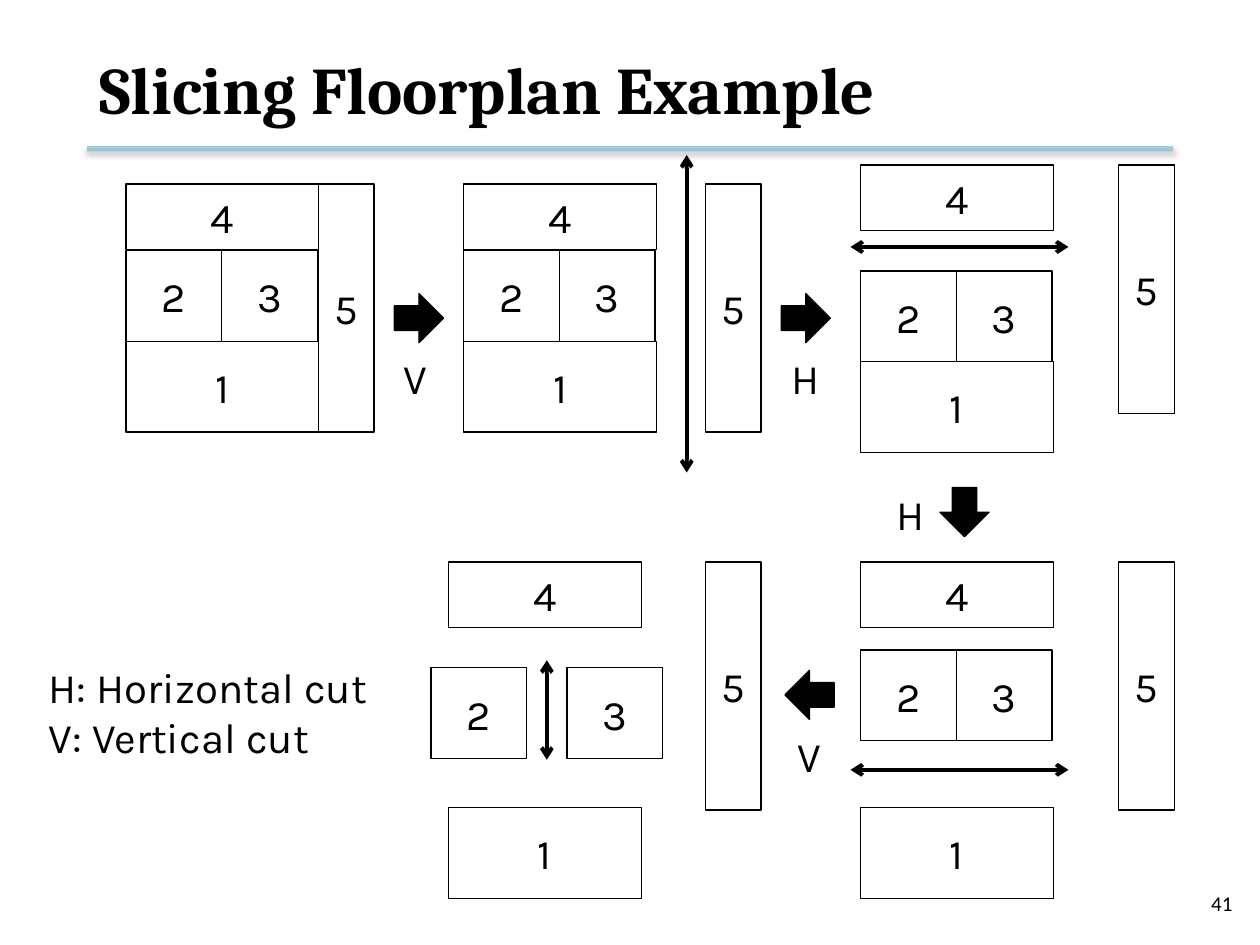
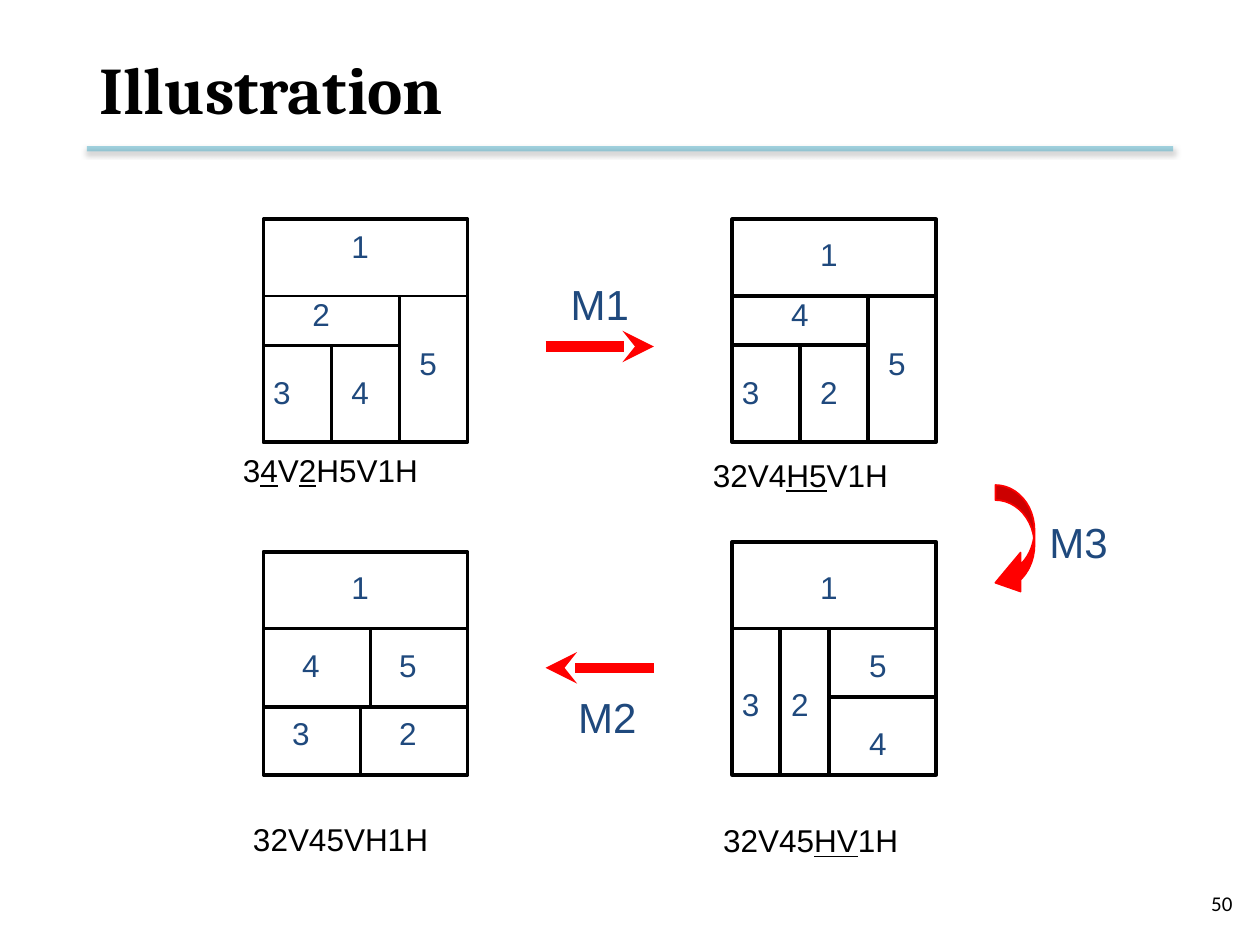
from lxml.etree import SubElement
from pptx import Presentation
from pptx.dml.color import RGBColor
from pptx.enum.shapes import MSO_CONNECTOR, MSO_SHAPE
from pptx.enum.text import MSO_ANCHOR, PP_ALIGN
from pptx.oxml.ns import qn
from pptx.util import Inches, Pt

BLACK, WHITE, RED, NAVY, TEAL = "000000", "FFFFFF", "FF0000", "1F497D", "4BACC6"
BLOCK_SIZES = {1: (1.53, 0.72), 2: (0.76, 0.72), 3: (0.76, 0.72), 4: (1.53, 0.52), 5: (0.44, 1.97)}
PLAN_WIDTH = 1.62


def color(hex_string):
    return RGBColor.from_string(hex_string)


def write(frame, lines, font, size, ink=BLACK, bold=False, align=PP_ALIGN.LEFT,
          anchor=MSO_ANCHOR.TOP, wrap=True):
    """Fill a text frame; parts between underscores are underlined."""
    frame.word_wrap = wrap
    frame.vertical_anchor = anchor
    for index, line in enumerate(lines):
        paragraph = frame.add_paragraph() if index else frame.paragraphs[0]
        paragraph.alignment = align
        for part_index, part in enumerate(line.split("_")):
            run = paragraph.add_run()
            run.text = part
            run.font.name, run.font.size, run.font.bold = font, Pt(size), bold
            run.font.color.rgb = color(ink)
            if part_index % 2:
                run.font.underline = True


def add_text(slide, box, lines, font, size, **style):
    label = slide.shapes.add_textbox(*map(Inches, box))
    write(label.text_frame, lines, font, size, **style)


def add_figure(slide, preset, box, fill=None, ink=BLACK, width=0.75):
    figure = slide.shapes.add_shape(preset, *map(Inches, box))
    figure.shadow.inherit = False
    if fill:
        figure.fill.solid()
        figure.fill.fore_color.rgb = color(fill)
    else:
        figure.fill.background()
    figure.line.color.rgb = color(ink)
    figure.line.width = Pt(width)
    return figure


def add_line(slide, ends, ink=BLACK, width=2.0, head=None, tail=None):
    """Draw a straight line and return its empty effect list."""
    line = slide.shapes.add_connector(MSO_CONNECTOR.STRAIGHT, *map(Inches, ends))
    line.line.color.rgb = color(ink)
    line.line.width = Pt(width)
    stroke = line.line._get_or_add_ln()
    for tag, kind in (("a:headEnd", head), ("a:tailEnd", tail)):
        if kind:
            SubElement(stroke, qn(tag), type=kind)
    effects = SubElement(line._element.spPr, qn("a:effectLst"))
    return stroke, effects


def shift(left, top, ends):
    x1, y1, x2, y2 = ends
    return left + x1, top + y1, left + x2, top + y2


def start_slide(deck, title, number):
    """Add a blank slide with the title, its rule and the page number."""
    slide = deck.slides.add_slide(deck.slide_layouts[6])
    stroke, effects = add_line(slide, (0.69, 1.18, 9.31, 1.18), TEAL, 3)
    SubElement(stroke.find(".//" + qn("a:srgbClr")), qn("a:alpha"), val="50000")
    shadow = SubElement(effects, qn("a:outerShdw"), blurRad="40000", dist="20000", dir="5400000")
    shade = SubElement(shadow, qn("a:srgbClr"), val=BLACK)
    SubElement(shade, qn("a:alpha"), val="38000")
    add_text(slide, (7.55, 6.97, 2.33, 0.4), [str(number)], "Calibri", 12,
             align=PP_ALIGN.RIGHT, anchor=MSO_ANCHOR.MIDDLE)
    add_text(slide, (0.69, 0.17, 8.62, 1.06), [title], "Cambria", 38,
             bold=True, anchor=MSO_ANCHOR.MIDDLE)
    return slide


def add_stage(slide, left, top, middle=0.53, bottom=1.25, right=1.53,
              pair_left=0.0, pair_gap=0.0, cut=None):
    """Draw the five blocks of one slicing step, block 4 at the top left."""
    places = {
        1: (0, bottom),
        2: (pair_left, middle),
        3: (pair_left + BLOCK_SIZES[2][0] + pair_gap, middle),
        4: (0, 0),
        5: (right, 0),
    }
    for number, (x, y) in places.items():
        block = add_figure(slide, MSO_SHAPE.RECTANGLE, (left + x, top + y, *BLOCK_SIZES[number]))
        write(block.text_frame, [str(number)], "Karla", 24, align=PP_ALIGN.CENTER,
              anchor=MSO_ANCHOR.MIDDLE, wrap=False)
    if cut:
        add_line(slide, shift(left, top, cut), width=2.25, head="arrow", tail="arrow")


def add_step(slide, left, top, turn, letter, letter_box):
    """Draw a block arrow and the kind of cut it stands for."""
    arrow = add_figure(slide, MSO_SHAPE.RIGHT_ARROW, (left, top, 0.39, 0.39), BLACK)
    arrow.rotation = turn
    x, y, width = letter_box
    add_text(slide, (left + x, top + y, width, 0.5), [letter], "Karla", 24, align=PP_ALIGN.CENTER)


def build_slicing_slide(deck):
    slide = start_slide(deck, "Slicing Floorplan Example", 41)
    add_stage(slide, 1, 1.46)
    add_stage(slide, 3.68, 1.46, right=1.92, cut=(1.77, -0.23, 1.77, 2.29))
    add_stage(slide, 6.83, 1.31, middle=0.84, bottom=1.56, right=2.05,
              cut=(-0.08, 0.65, 1.65, 0.65))
    add_stage(slide, 6.83, 4.46, middle=0.7, bottom=1.95, right=2.05,
              cut=(-0.08, 1.65, 1.65, 1.65))
    add_stage(slide, 3.56, 4.46, middle=0.84, bottom=1.95, right=2.04,
              pair_left=-0.14, pair_gap=0.32, cut=(0.78, 0.78, 0.78, 1.57))
    add_step(slide, 3.13, 2.33, 0, "V", (-0.11, 0.42, 0.55))
    add_step(slide, 6.2, 2.33, 0, "H", (-0.08, 0.42, 0.55))
    add_step(slide, 7.46, 3.87, 90, "H", (-0.47, -0.04, 0.47))
    add_step(slide, 6.23, 5.32, 180, "V", (-0.08, 0.43, 0.55))
    add_text(slide, (0.29, 5.2, 3.15, 0.9), ["H: Horizontal cut", "V: Vertical cut"], "Karla", 24)


def add_plan(slide, box, digits, walls, expression, expression_at, wall_width=2.0):
    """Draw a floorplan with its rooms and its Polish expression."""
    left, top, *_ = box
    add_figure(slide, MSO_SHAPE.RECTANGLE, box, WHITE, width=2)
    for digit, (x, y) in digits.items():
        add_text(slide, (left + x, top + y, 0.39, 0.5), [str(digit)], "Arial", 18, ink=NAVY)
    for wall in walls:
        add_line(slide, shift(left, top, wall), width=wall_width)
    x, y = expression_at
    add_text(slide, (left + x, top + y, 2.06, 0.5), [expression], "Arial", 18)


def add_move_name(slide, left, top, name):
    add_text(slide, (left, top, 0.66, 0.5), [name], "Arial", 24, ink=NAVY,
             align=PP_ALIGN.CENTER, wrap=False)


def build_illustration_slide(deck):
    slide = start_slide(deck, "Illustration", 50)
    left_column, right_column = 2.09, 5.81
    upper_walls = [(0, 0.61, PLAN_WIDTH, 0.61), (1.08, 0.61, 1.08, 1.77),
                   (0, 1, 1.08, 1), (0.54, 1, 0.54, 1.77)]
    add_plan(slide, (left_column, 1.74, PLAN_WIDTH, 1.77),
             {1: (0.6, 0.01), 2: (0.29, 0.55), 3: (-0.02, 1.17), 4: (0.6, 1.17), 5: (1.14, 0.94)},
             upper_walls, "3_4_V_2_H5V1H", (-0.26, 1.79), wall_width=1.5)
    add_plan(slide, (right_column, 1.74, PLAN_WIDTH, 1.77),
             {1: (0.6, 0.08), 4: (0.37, 0.55), 3: (-0.02, 1.17), 2: (0.6, 1.17), 5: (1.14, 0.94)},
             upper_walls, "32V4_H5_V1H", (-0.25, 1.83))
    add_plan(slide, (right_column, 4.3, PLAN_WIDTH, 1.85),
             {1: (0.6, 0.16), 5: (0.99, 0.78), 4: (0.99, 1.4), 2: (0.37, 1.09), 3: (-0.02, 1.09)},
             [(0, 0.69, PLAN_WIDTH, 0.69), (0.38, 0.69, 0.38, 1.85),
              (0.77, 0.69, 0.77, 1.85), (0.77, 1.23, PLAN_WIDTH, 1.23)],
             "32V45_HV_1H", (-0.17, 2.17))
    add_plan(slide, (left_column, 4.38, PLAN_WIDTH, 1.77),
             {1: (0.6, 0.08), 4: (0.21, 0.7), 5: (0.98, 0.7), 3: (0.13, 1.24), 2: (0.98, 1.24)},
             [(0, 0.61, PLAN_WIDTH, 0.61), (0.85, 0.61, 0.85, 1.23),
              (0, 1.23, PLAN_WIDTH, 1.23), (0.77, 1.23, 0.77, 1.77)],
             "32V45VH1H", (-0.18, 2.08))

    add_line(slide, (4.33, 2.75, 5.19, 2.75), RED, 6, tail="stealth")
    add_move_name(slide, 4.43, 2.16, "M1")
    add_line(slide, (5.19, 5.3, 4.33, 5.3), RED, 6, tail="stealth")
    add_move_name(slide, 4.49, 5.44, "M2")
    bend = add_figure(slide, MSO_SHAPE.CURVED_LEFT_ARROW, (7.9, 3.85, 0.31, 0.93), RED, RED, 1)
    for index, value in enumerate((0.385, 0.998, 0.646)):
        bend.adjustments[index] = value
    add_move_name(slide, 8.23, 4.05, "M3")


def main():
    deck = Presentation()
    deck.slide_width, deck.slide_height = Inches(10), Inches(7.5)
    build_slicing_slide(deck)
    build_illustration_slide(deck)
    deck.save("out.pptx")


if __name__ == "__main__":
    main()
